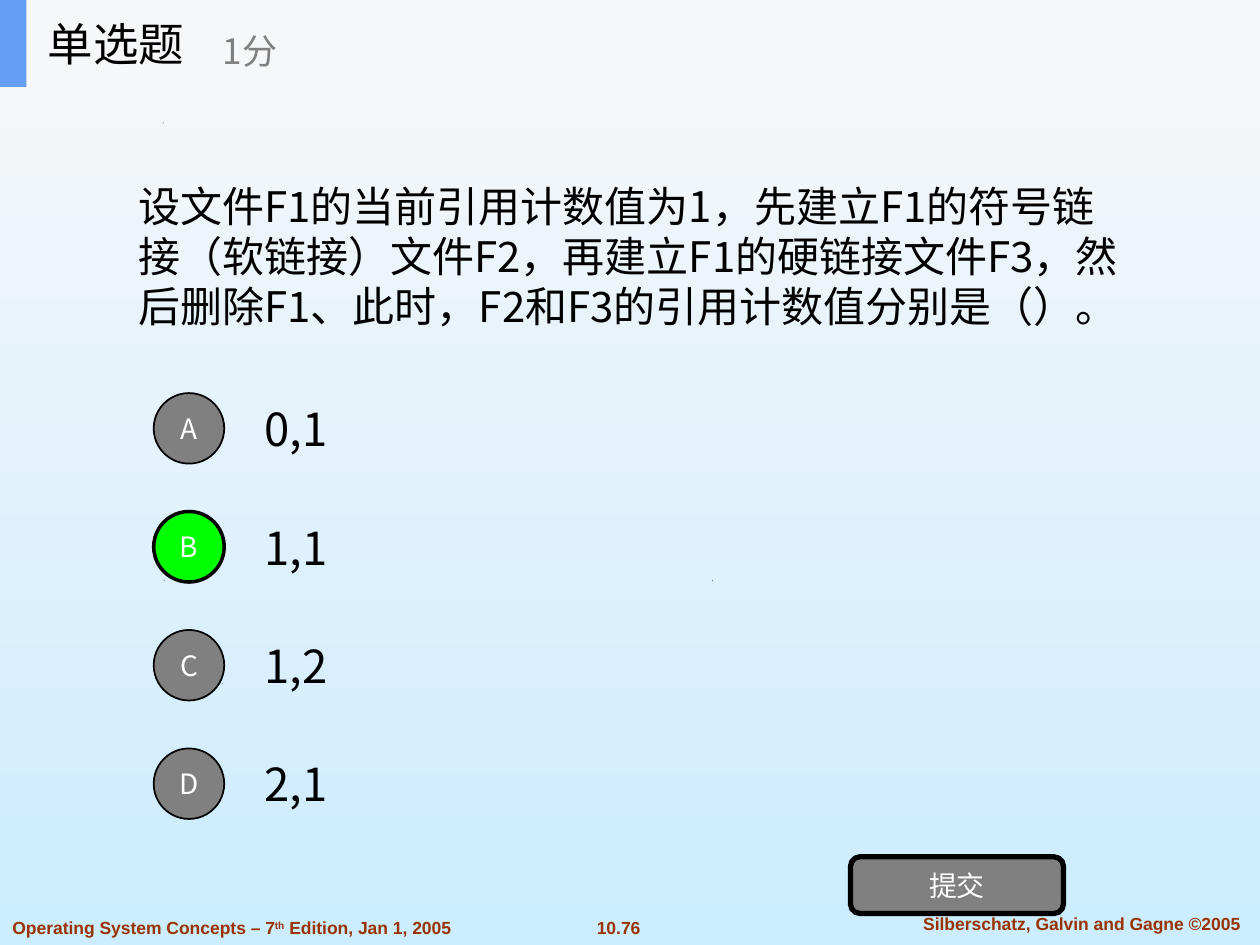
from dataclasses import dataclass

from pptx import Presentation
from pptx.dml.color import RGBColor
from pptx.enum import shapes, text
from pptx.oxml.ns import qn
from pptx.util import Inches, Pt

BLACK = RGBColor(0x00, 0x00, 0x00)
WHITE = RGBColor(0xFF, 0xFF, 0xFF)
GRAY = RGBColor(0x80, 0x80, 0x80)
GREEN = RGBColor(0x00, 0xFF, 0x00)
BLUE = RGBColor(0x63, 0x9E, 0xF4)
HEADER = RGBColor(0xF6, 0xF7, 0xF8)
RUST = RGBColor(0x99, 0x33, 0x00)
SKY_TOP = RGBColor(0xF8, 0xF8, 0xF8)
SKY_BOTTOM = RGBColor(0xCC, 0xEC, 0xFF)
CJK = "Noto Sans CJK SC"
LEFT = text.PP_ALIGN.LEFT
CENTER = text.PP_ALIGN.CENTER
MIDDLE = text.MSO_ANCHOR.MIDDLE
TOP = text.MSO_ANCHOR.TOP
FOOTER = dict(font="Arial", size=10, color=RUST, bold=True, anchor=TOP)

QUESTION = (
    "设文件F1的当前引用计数值为1，先建立F1的符号链接（软链接）文件F2，"
    "再建立F1的硬链接文件F3，然后删除F1、此时，F2和F3的引用计数值分别是（）。"
)


@dataclass
class Area:
    left: float
    top: float
    width: float
    height: float

    def lengths(self) -> list:
        return [Inches(v) for v in (self.left, self.top, self.width, self.height)]


@dataclass
class Option:
    letter: str
    answer: str
    fill: RGBColor = GRAY
    line: float = 1


OPTIONS = [
    Option("A", "0,1"),
    Option("B", "1,1", GREEN, 2),
    Option("C", "1,2"),
    Option("D", "2,1"),
]
FIRST_TOP, PITCH = 3.05, 0.94
SPECKS = [(1.76, 5.42), (1.3, 4.6), (5.65, 4.6), (1.29, 0.97)]


def write(box, *parts: str, size: float, color: RGBColor = BLACK, font: str = CJK,
          bold: bool = False, align=LEFT, anchor=MIDDLE, wrap: bool = True,
          spacing: float = 0, raised: str = "") -> None:
    frame = box.text_frame
    frame.word_wrap = wrap
    frame.auto_size = text.MSO_AUTO_SIZE.NONE
    frame.vertical_anchor = anchor
    para = frame.paragraphs[0]
    para.alignment = align
    if spacing:
        para.line_spacing = Pt(spacing)
    for part in parts:
        span = para.add_run()
        span.text = part
        span.font.size = Pt(size)
        span.font.bold = bold
        span.font.name = font
        span.font.color.rgb = color
        props = span.font._element
        east = props.makeelement(qn("a:ea"), {"typeface": font})
        props.find(qn("a:latin")).addnext(east)
        if part == raised:
            props.set("baseline", "30000")


def add_text(page, area: Area, *parts: str, **style):
    box = page.shapes.add_textbox(*area.lengths())
    write(box, *parts, **style)
    return box


def add_block(page, kind, area: Area, fill: RGBColor, line: float = 0):
    block = page.shapes.add_shape(kind, *area.lengths())
    block.shadow.inherit = False
    block.fill.solid()
    block.fill.fore_color.rgb = fill
    if line:
        block.line.color.rgb = BLACK
        block.line.width = Pt(line)
    else:
        block.line.fill.background()
    return block


def add_speck(page, left: float, top: float) -> None:
    side = Inches(0.01)
    x, y = Inches(left), Inches(top)
    builder = page.shapes.build_freeform(x, y + side)
    builder.add_line_segments([(x + side, y), (x + side // 4, y + side)], close=True)
    speck = builder.convert_to_shape()
    speck.shadow.inherit = False
    speck.fill.solid()
    speck.fill.fore_color.rgb = BLACK
    speck.line.fill.background()


def add_option(page, option: Option, top: float) -> None:
    add_text(page, Area(2, top, 7, 0.7), option.answer, size=26)
    circle = add_block(page, shapes.MSO_SHAPE.OVAL, Area(1.22, top + 0.07, 0.56, 0.56),
                       option.fill, option.line)
    write(circle, option.letter, size=16, color=WHITE, align=CENTER, wrap=False)


def add_header(page) -> None:
    bar = add_block(page, shapes.MSO_SHAPE.RECTANGLE, Area(0, 0, 10, 0.69), HEADER)
    add_block(page, shapes.MSO_SHAPE.RECTANGLE, Area(0, 0, 0.21, 0.69), BLUE)
    title = page.shapes.title
    title.left, title.top, title.width, title.height = Area(0.28, 0, 2.08, 0.69).lengths()
    write(title, "单选题", size=26)
    bar._element.addnext(title._element)
    add_text(page, Area(1.67, 0.12, 2.5, 0.56), "1分", size=20, color=GRAY)


def add_footer(page) -> None:
    add_text(page, Area(0, 7.23, 3.69, 0.27), "Operating System Concepts – 7", "th",
             " Edition, Jan 1, 2005", raised="th", **FOOTER)
    add_text(page, Area(4.63, 7.23, 0.56, 0.27), "10.76", align=CENTER, wrap=False, **FOOTER)
    add_text(page, Area(7.1, 7.2, 2.97, 0.27), "Silberschatz, Galvin and Gagne ©2005",
             align=CENTER, **FOOTER)


def main() -> None:
    deck = Presentation()
    deck.slide_width, deck.slide_height = Inches(10), Inches(7.5)
    page = deck.slides.add_slide(deck.slide_layouts[5])

    sky = page.background.fill
    sky.gradient()
    sky.gradient_angle = 270
    for stop, color in zip(sky.gradient_stops, (SKY_TOP, SKY_BOTTOM)):
        stop.color.rgb = color

    add_footer(page)
    for left, top in SPECKS:
        add_speck(page, left, top)
    add_text(page, Area(1, 0.86, 8, 2.34), QUESTION, size=24, spacing=28.6)
    for row, option in enumerate(OPTIONS):
        add_option(page, option, FIRST_TOP + row * PITCH)

    submit = add_block(page, shapes.MSO_SHAPE.ROUNDED_RECTANGLE,
                       Area(6.75, 6.8, 1.69, 0.45), GRAY, 3)
    write(submit, "提交", size=16, color=WHITE, align=CENTER, wrap=False)
    add_header(page)
    deck.save("out.pptx")


if __name__ == "__main__":
    main()
